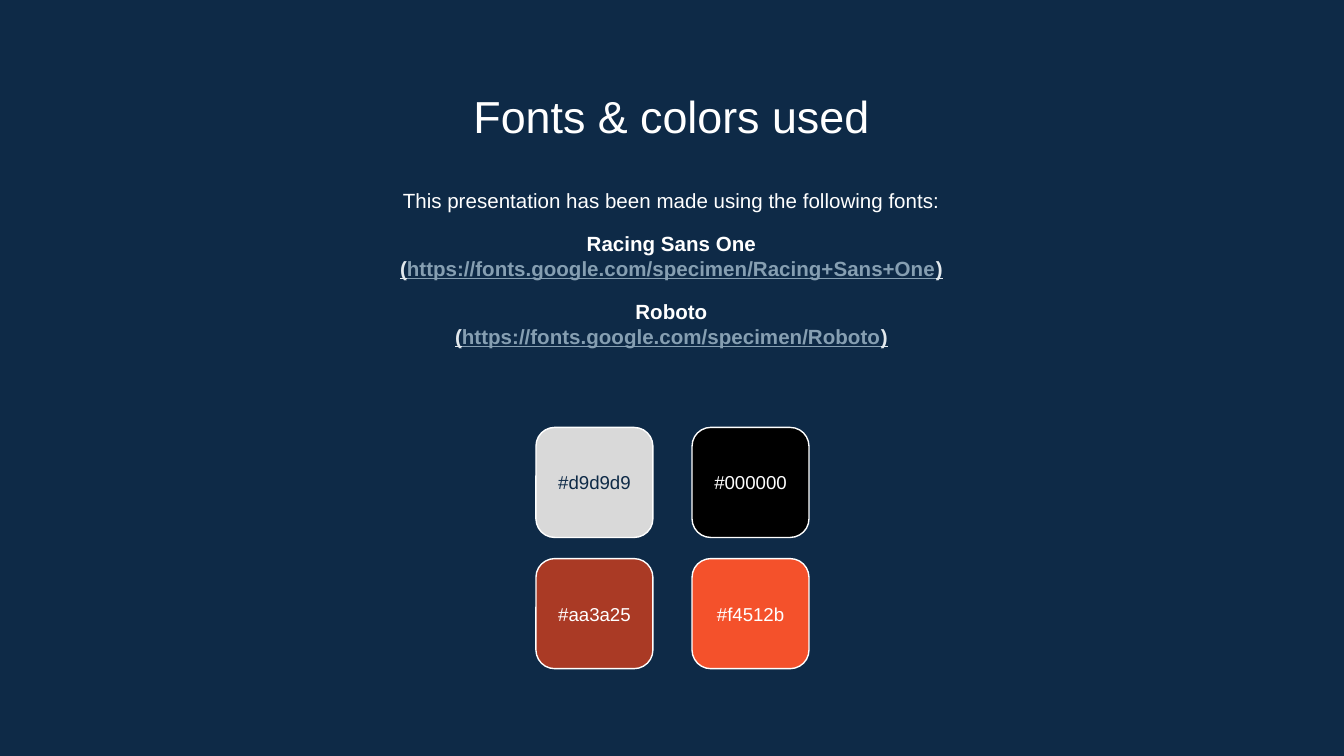
from dataclasses import dataclass

import pptx
import pptx.dml.color
import pptx.enum.shapes
import pptx.enum.text
import pptx.util

Cm = pptx.util.Cm
Pt = pptx.util.Pt

NAVY = "0E2A47"
WHITE = "FFFFFF"
PALE = "E3E9ED"
LINK = "869FB2"

LEFT, TOP = 10.13, 8.08
STEP_X, STEP_Y = 2.95, 2.48
TILE_W, TILE_H = 2.21, 2.08
LABEL_H = 1.22


@dataclass
class Swatch:
    code: str
    ink: str = WHITE


@dataclass
class FontEntry:
    name: str
    url: str


SWATCHES = [
    Swatch("#d9d9d9", NAVY),
    Swatch("#000000"),
    Swatch("#aa3a25"),
    Swatch("#f4512b"),
]
FONTS = [
    FontEntry("Racing Sans One", "https://fonts.google.com/specimen/Racing+Sans+One"),
    FontEntry("Roboto", "https://fonts.google.com/specimen/Roboto"),
]


def rgb(code: str):
    return pptx.dml.color.RGBColor.from_string(code.lstrip("#").upper())


def add_box(s, x: float, y: float, w: float, h: float, middle: bool = False):
    tf = s.shapes.add_textbox(Cm(x), Cm(y), Cm(w), Cm(h)).text_frame
    tf.word_wrap = True
    tf.margin_left = tf.margin_right = tf.margin_top = tf.margin_bottom = Cm(0.25)
    anchor = pptx.enum.text.MSO_ANCHOR
    tf.vertical_anchor = anchor.MIDDLE if middle else anchor.TOP
    return tf


def center(p, before: float = 0):
    p.alignment = pptx.enum.text.PP_ALIGN.CENTER
    p.space_before = Pt(before)
    return p


def add_text(p, text: str, *, size: float = 11, color: str = WHITE,
             bold: bool = False, underline: bool = False) -> None:
    r = p.add_run()
    r.text = text
    r.font.name = "Arial"
    r.font.size = Pt(size)
    r.font.bold = bold
    r.font.underline = underline
    r.font.color.rgb = rgb(color)


def draw_font(tf, entry: FontEntry) -> None:
    add_text(center(tf.add_paragraph(), 10), entry.name, bold=True)
    p = center(tf.add_paragraph())
    for text, color in (("(", PALE), (entry.url, LINK), (")", PALE)):
        add_text(p, text, color=color, bold=True, underline=True)


def draw_swatch(s, swatch: Swatch, x: float, y: float) -> None:
    sp = s.shapes.add_shape(pptx.enum.shapes.MSO_SHAPE.ROUNDED_RECTANGLE,
                            Cm(x), Cm(y), Cm(TILE_W), Cm(TILE_H))
    sp.shadow.inherit = False
    sp.adjustments[0] = 0.17
    sp.fill.solid()
    sp.fill.fore_color.rgb = rgb(swatch.code)
    sp.line.color.rgb = rgb(WHITE)
    sp.line.width = Pt(0.75)
    tf = add_box(s, x, y + (TILE_H - LABEL_H) / 2, TILE_W, LABEL_H, middle=True)
    add_text(center(tf.paragraphs[0]), swatch.code, size=10, color=swatch.ink)


def main() -> None:
    prs = pptx.Presentation()
    prs.slide_width, prs.slide_height = Cm(25.4), Cm(14.29)
    s = prs.slides.add_slide(prs.slide_layouts[6])
    s.background.fill.solid()
    s.background.fill.fore_color.rgb = rgb(NAVY)

    title = add_box(s, 1.98, 1.42, 21.42, 1.35)
    add_text(center(title.paragraphs[0]), "Fonts & colors used", size=24)

    body = add_box(s, 1.98, 3.3, 21.42, 4.06)
    add_text(center(body.paragraphs[0]),
             "This presentation has been made using the following fonts:")
    for entry in FONTS:
        draw_font(body, entry)

    for i, swatch in enumerate(SWATCHES):
        row, col = divmod(i, 2)
        draw_swatch(s, swatch, LEFT + col * STEP_X, TOP + row * STEP_Y)

    prs.save("out.pptx")


if __name__ == "__main__":
    main()
